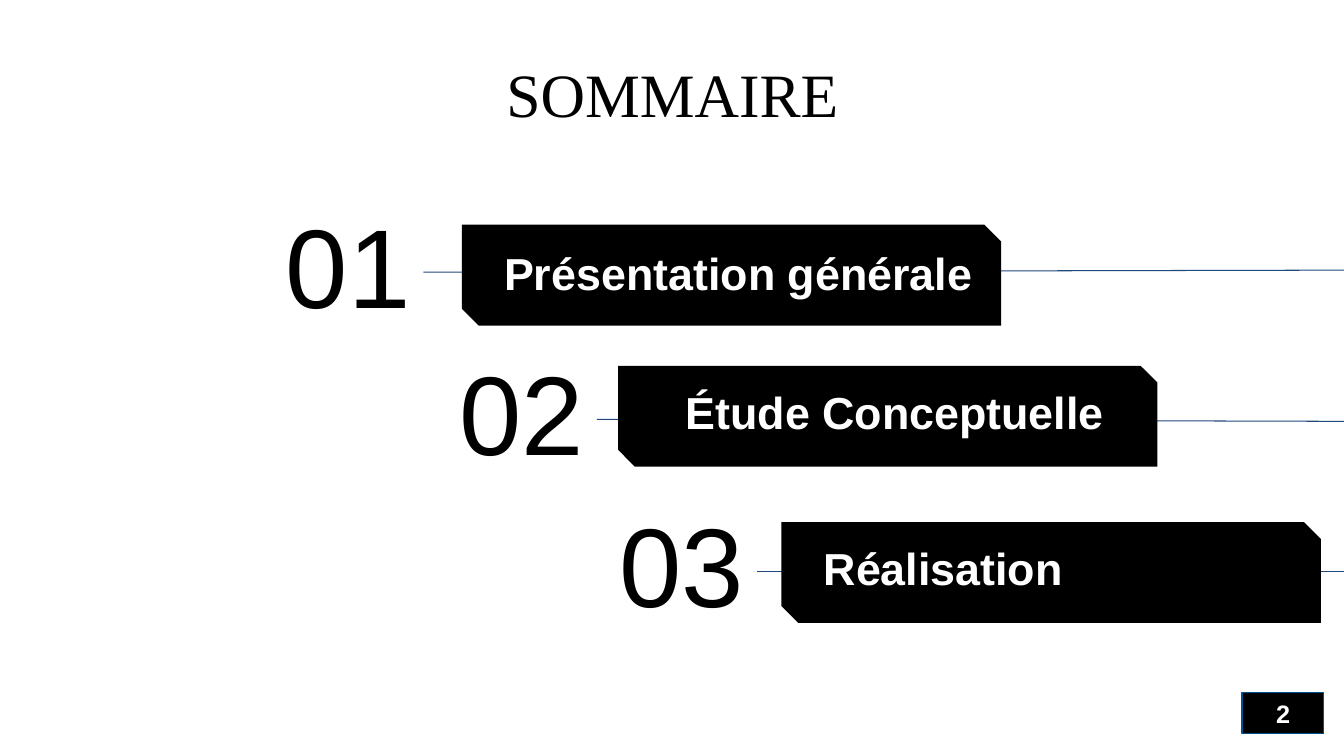
from typing import NamedTuple

from lxml import etree
from pptx import Presentation
from pptx.dml.color import RGBColor
from pptx.enum.shapes import MSO_CONNECTOR, MSO_SHAPE
from pptx.enum.text import MSO_ANCHOR, PP_ALIGN
from pptx.oxml.ns import qn
from pptx.util import Emu, Pt

PX = 9144  # 100 px to the inch
BLACK = RGBColor(0x00, 0x00, 0x00)
WHITE = RGBColor(0xFF, 0xFF, 0xFF)
NAVY = RGBColor(0x1F, 0x49, 0x7D)
BLUE = RGBColor(0x00, 0x53, 0x8E)
LEFT, CENTER, RIGHT = PP_ALIGN.LEFT, PP_ALIGN.CENTER, PP_ALIGN.RIGHT
TOP, MIDDLE = MSO_ANCHOR.TOP, MSO_ANCHOR.MIDDLE
SNIP, RECT = MSO_SHAPE.SNIP_2_DIAG_RECTANGLE, MSO_SHAPE.RECTANGLE
LINE = MSO_CONNECTOR.STRAIGHT
WIDTH, HEIGHT = 1333, 750
PAD = 13


class Box(NamedTuple):
    x: int
    y: int
    w: int
    h: int

    def emu(self) -> list[Emu]:
        return [Emu(v * PX) for v in self]


class Item(NamedTuple):
    """One entry: its number, bar, label and the two ends of its line."""
    num: str
    name: str
    digit: Box
    bar: Box
    label: Box
    start: int
    end: int


ITEMS = [
    Item("01", "Présentation générale", Box(158, 215, 262, 110),
         Box(458, 223, 535, 100), Box(487, 230, 492, 80), 270, 268),
    Item("02", "Étude Conceptuelle", Box(335, 361, 257, 110),
         Box(613, 363, 535, 100), Box(667, 368, 476, 80), 416, 418),
    Item("03", "Réalisation", Box(489, 512, 262, 110),
         Box(775, 518, 535, 100), Box(804, 523, 476, 80), 567, 567),
]


def write(shape, text: str, *, size: int, font: str = "Arial",
          color: RGBColor = BLACK, bold: bool = False, align=LEFT,
          anchor=MIDDLE, pad: int = PAD, space: float = 1.0) -> None:
    frame = shape.text_frame
    frame.word_wrap = True
    frame.vertical_anchor = anchor
    frame.margin_left = frame.margin_right = Emu(pad * PX)
    frame.margin_top = frame.margin_bottom = Emu(pad * PX)
    para = frame.paragraphs[0]
    para.alignment = align
    para.line_spacing = space
    run = para.add_run()
    run.text = text
    run.font.size = Pt(size)
    run.font.name = font
    run.font.bold = bold
    run.font.color.rgb = color


def add_text(slide, box: Box, text: str, **style) -> None:
    write(slide.shapes.add_textbox(*box.emu()), text, **style)


def add_block(slide, kind, box: Box):
    block = slide.shapes.add_shape(kind, *box.emu())
    block.shadow.inherit = False
    block.fill.solid()
    block.fill.fore_color.rgb = BLACK
    block.line.fill.background()
    return block


def add_line(slide, item: Item) -> None:
    """Run from the slide's right edge to the item's number."""
    left = item.digit.x + item.digit.w
    ends = Box(WIDTH, item.end, left, item.start)
    line = slide.shapes.add_connector(LINE, *ends.emu())
    line.line.color.rgb = NAVY
    line.line.width = Pt(0.75)
    etree.SubElement(line._element.spPr, qn("a:effectLst"))


def add_bar(slide, item: Item) -> None:
    bar = add_block(slide, SNIP, item.bar)
    bar.adjustments[0] = 0
    bar.adjustments[1] = 0.167
    add_text(slide, item.label, item.name, size=32, color=WHITE, bold=True)


def add_page(slide, num: str) -> None:
    page = add_block(slide, RECT, Box(1232, 687, 81, 41))
    page.line.color.rgb = BLUE
    page.line.width = Pt(1)
    write(page, num, size=18, color=WHITE, bold=True, align=CENTER, pad=5)


def main() -> None:
    deck = Presentation()
    deck.slide_width, deck.slide_height = Emu(WIDTH * PX), Emu(HEIGHT * PX)
    slide = deck.slides.add_slide(deck.slide_layouts[6])
    add_text(slide, Box(287, 51, 760, 138), "SOMMAIRE", size=44,
             font="Times New Roman", align=CENTER, anchor=TOP, space=0.9)
    for item in ITEMS:
        add_line(slide, item)
        add_text(slide, item.digit, item.num, size=80, align=RIGHT, space=0.9)
        add_bar(slide, item)
    add_page(slide, "2")
    deck.save("out.pptx")


if __name__ == "__main__":
    main()
